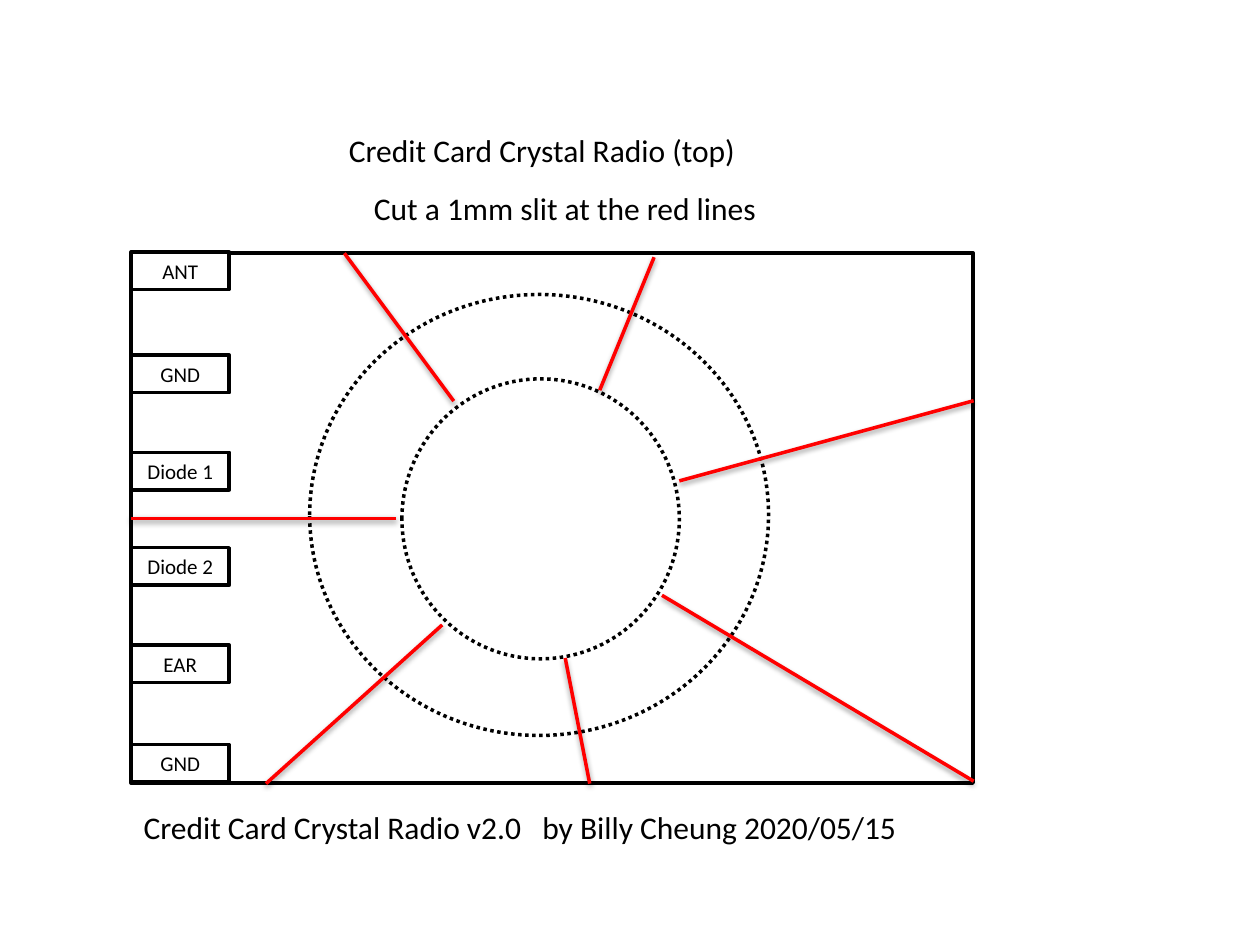
from pptx import Presentation
from pptx.dml.color import RGBColor
from pptx.enum.dml import MSO_LINE
from pptx.enum.shapes import MSO_CONNECTOR, MSO_SHAPE
from pptx.enum.text import MSO_ANCHOR, MSO_AUTO_SIZE, PP_ALIGN
from pptx.util import Pt

BLACK, WHITE, RED = "000000", "FFFFFF", "FF0000"

TAB_LEFT, TAB_WIDTH, TAB_HEIGHT = 75, 56, 21.5
TABS = [("ANT", 144), ("GND", 203), ("Diode 1", 258.5),
        ("Diode 2", 313), ("EAR", 368.5), ("GND", 425.5)]

RINGS = [(177, 168.3, 262.2, 252), (229.7, 216.5, 158.5, 160)]

# Each slit runs from the inner ring to the card edge.
SLITS = [((252.7, 357.1), (152, 447.8)),
         ((388.2, 274.8), (556.4, 229)),
         ((342.7, 223), (373.8, 147)),
         ((259.3, 229.2), (196.8, 144.7)),
         ((378.3, 340.2), (556.4, 446.4)),
         ((226.2, 296.2), (75, 296.2)),
         ((323, 376), (337, 447.8))]


def color(code):
    return RGBColor.from_string(code)


class Card:
    font = "Calibri"
    weight = 2

    def __init__(self, slide):
        self.slide = slide
        self.shapes = slide.shapes

    def label(self, shape, text, size, align, anchor):
        frame = shape.text_frame
        frame.text = text
        frame.vertical_anchor = anchor
        para = frame.paragraphs[0]
        para.alignment = align
        for run in para.runs:
            run.font.name = self.font
            run.font.size = Pt(size)
            run.font.color.rgb = color(BLACK)

    def place(self, shape, left, top, width, height):
        shape.left, shape.top = Pt(left), Pt(top)
        shape.width, shape.height = Pt(width), Pt(height)

    def caption(self, shape, text, box, wrap=False):
        self.place(shape, *box)
        self.label(shape, text, 18, PP_ALIGN.LEFT, MSO_ANCHOR.TOP)
        shape.text_frame.word_wrap = wrap
        shape.text_frame.auto_size = MSO_AUTO_SIZE.SHAPE_TO_FIT_TEXT

    def title(self, text, box):
        self.caption(self.shapes.title, text, box)

    def note(self, text, box, wrap=False):
        shape = self.shapes.add_textbox(0, 0, 0, 0)
        self.caption(shape, text, box, wrap)

    def outline(self, kind, box, dash=None):
        shape = self.shapes.add_shape(kind, *map(Pt, box))
        shape.shadow.inherit = False
        shape.fill.solid()
        shape.fill.fore_color.rgb = color(WHITE)
        shape.line.color.rgb = color(BLACK)
        shape.line.width = Pt(self.weight)
        if dash:
            shape.line.dash_style = dash
        return shape

    def tab(self, text, top):
        box = (TAB_LEFT, top, TAB_WIDTH, TAB_HEIGHT)
        shape = self.outline(MSO_SHAPE.RECTANGLE, box)
        self.label(shape, text, 12, PP_ALIGN.CENTER, MSO_ANCHOR.MIDDLE)

    def slit(self, start, end):
        """Draw a red cut line, keeping the soft shadow of the theme."""
        line = self.shapes.add_connector(
            MSO_CONNECTOR.STRAIGHT, *map(Pt, start + end))
        line.line.color.rgb = color(RED)
        line.line.width = Pt(self.weight)


def main():
    deck = Presentation()
    deck.slide_width, deck.slide_height = Pt(720), Pt(540)
    card = Card(deck.slides.add_slide(deck.slide_layouts[5]))

    card.title("Credit Card Crystal Radio (top)", (192.2, 71.5, 238.3, 29))
    card.outline(MSO_SHAPE.RECTANGLE, (75, 144.5, 481, 303))
    for text, top in TABS:
        card.tab(text, top)
    for ring in RINGS:
        card.outline(MSO_SHAPE.OVAL, ring, MSO_LINE.ROUND_DOT)
    for start, end in SLITS:
        card.slit(start, end)
    card.note("Credit Card Crystal Radio v2.0   by Billy Cheung 2020/05/15",
              (75, 458, 456.5, 29))
    card.note("Cut a 1mm slit at the red lines", (206.6, 104.4, 299.5, 29),
              wrap=True)

    deck.save("out.pptx")


if __name__ == "__main__":
    main()
